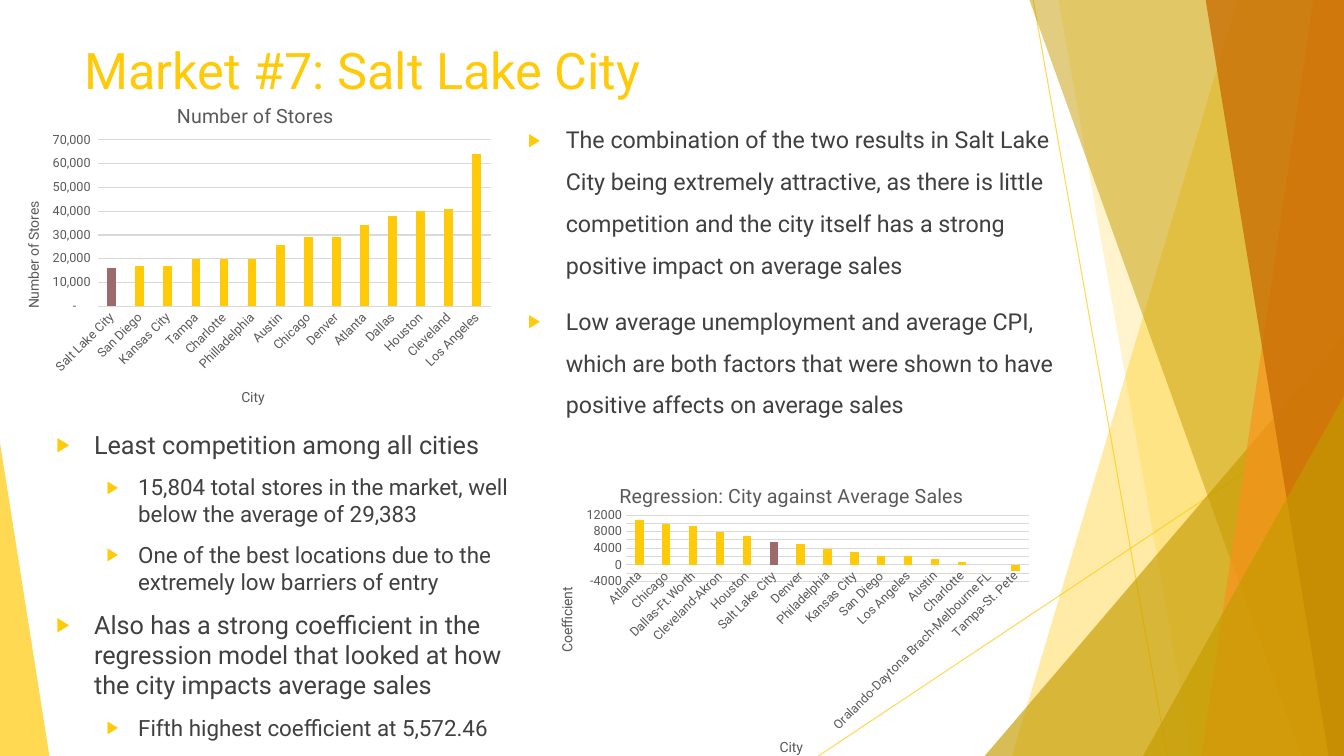
"""Build the Salt Lake City market slide with two column charts."""
from lxml.etree import SubElement as Sub
from pptx import Presentation
from pptx.chart.data import CategoryChartData as ChartData
from pptx.dml.color import RGBColor as Rgb
from pptx.enum.chart import XL_CHART_TYPE as Kind, XL_TICK_MARK as Tick
from pptx.enum.shapes import MSO_CONNECTOR as Link, MSO_SHAPE as Shape
from pptx.enum.text import MSO_ANCHOR as Anchor
from pptx.oxml.ns import qn
from pptx.util import Pt


class Theme:
    font = "Roboto"
    gold, ochre, orange, rust = "FFCA08", "C59B00", "F8931D", "CA6F06"
    mauve, ink, gray, rule = "9C6A6A", "404040", "595959", "D9D9D9"
    head, main, sub, side = 36, 18, 16, 16.6
    title, label, tick = 14, 10, 9


def fade(fill, color, alpha):
    fill.solid()
    fill.fore_color.rgb = Rgb.from_string(color)
    node = fill._xPr.find(f"{qn('a:solidFill')}/{qn('a:srgbClr')}")
    Sub(node, qn("a:alpha"), val=str(alpha * 1000))


def place(node, spot, slot):
    for old in node.findall(qn("c:layout")):
        node.remove(old)
    frame = Sub(node, qn("c:layout"))
    node.insert(slot, frame)
    rule = Sub(frame, qn("c:manualLayout"))
    if len(spot) == 4:
        Sub(rule, qn("c:layoutTarget"), val="inner")
    for key in "xMode", "yMode":
        Sub(rule, qn(f"c:{key}"), val="edge")
    for key, val in zip("xywh", spot):
        Sub(rule, qn(f"c:{key}"), val=str(val))


deck = Presentation()
deck.slide_width, deck.slide_height = Pt(960), Pt(540)
slide = deck.slides.add_slide(deck.slide_layouts[6])
shapes = slide.shapes

for ends in ((738, 0, 833.8, 540), (960, 290.2, 584.6, 540)):
    line = shapes.add_connector(Link.STRAIGHT, *map(Pt, ends))
    line.line.width = Pt(0.75)
    fade(line.line.fill, Theme.gold, 70)
    Sub(line._element.spPr, qn("a:effectLst"))

facets = [
    (Theme.gold, 36, (884.2, 722.9)),
    (Theme.gold, 20, (756, 851.8)),
    (Theme.ochre, 66, (703.4, 239.8, 256.6, 300.2)),
    (Theme.ochre, 50, (735.1, 929.5)),
    (Theme.orange, 70, (938.2, 858.2)),
    (Theme.rust, 80, (861.1, 949)),
    (Theme.ochre, 66, (816.5, 283, 143.5, 257)),
    (Theme.gold, 70, (0, 316.1, 35.3, 223.9)),
]
for color, alpha, geo in facets:
    if len(geo) == 2:
        top, foot = map(Pt, geo)
        path = shapes.build_freeform(top, Pt(-0.6))
        path.add_line_segments([(Pt(960), Pt(-0.6)), (Pt(960), Pt(540)), (foot, Pt(540))])
        facet = path.convert_to_shape()
    else:
        facet = shapes.add_shape(Shape.ISOSCELES_TRIANGLE, *map(Pt, geo))
        facet.adjustments[0] = 1 if geo[0] else 0
    facet.shadow.inherit = False
    facet.line.fill.background()
    fade(facet.fill, color, alpha)

texts = [
    ((53.3, 24.5, 676.8, 103.7), Theme.gold, 1, [
        (None, Theme.head, "Market #7: Salt Lake City")]),
    ((33.1, 303.1, 349.2, 216), Theme.ink, 1, [
        (0, Theme.main, "Least competition among all cities"),
        (1, Theme.sub, "15,804 total stores in the market, well below the average of 29,383"),
        (1, Theme.sub, "One of the best locations due to the extremely low barriers of entry"),
        (0, Theme.main, "Also has a strong coefficient in the regression model that looked at "
                        "how the city impacts average sales"),
        (1, Theme.sub, "Fifth highest coefficient at 5,572.46")]),
    ((370.1, 76.3, 403.9, 247.7), Theme.ink, 1.5, [
        (0, Theme.side, "The combination of the two results in Salt Lake City being extremely "
                        "attractive, as there is little competition and the city itself has a "
                        "strong positive impact on average sales"),
        (0, Theme.side, "Low average unemployment and average CPI, which are both factors that "
                        "were shown to have positive affects on average sales")]),
]
for box, color, pitch, items in texts:
    frame = shapes.add_textbox(*map(Pt, box)).text_frame
    frame.word_wrap = True
    frame.vertical_anchor = Anchor.TOP
    for n, (level, size, words) in enumerate(items):
        para = frame.add_paragraph() if n else frame.paragraphs[0]
        para.line_spacing = pitch
        run = para.add_run()
        run.text = words
        run.font.name, run.font.size = Theme.font, Pt(size)
        run.font.color.rgb = Rgb.from_string(color)
        if level is None:
            continue
        para.space_before = Pt(10)
        para.level = level
        props = para._p.get_or_add_pPr()
        props.set("marL", str(Pt((27, 58.5)[level])))
        props.set("indent", str(Pt((-27, -22.5)[level])))
        Sub(Sub(props, qn("a:buClr")), qn("a:srgbClr"), val=Theme.gold)
        Sub(props, qn("a:buSzPct"), val="80000")
        Sub(props, qn("a:buFont"), typeface="Arial")
        Sub(props, qn("a:buChar"), char="▶")

stores = {
    "Salt Lake City": 16000, "San Diego": 17000, "Kansas City": 17000, "Tampa": 20000,
    "Charlotte": 20000, "Philladelphia": 20000, "Austin": 26000, "Chicago": 29000,
    "Denver": 29000, "Atlanta": 34000, "Dallas": 38000, "Houston": 40000,
    "Cleveland": 41000, "Los Angeles": 64000,
}
effects = {
    "Atlanta": 10700, "Chicago": 9900, "Dallas-Ft.Worth": 9300, "Cleveland-Akron": 8000,
    "Houston": 6900, "Salt Lake City": 5600, "Denver": 5100, "Philadelphia": 3900,
    "Kansas City": 3100, "San Diego": 2100, "Los Angeles": 2100, "Austin": 1500,
    "Charlotte": 700, "Oralando-Daytona Brach-Melbourne FL": 0, "Tampa-St. Pete": -1400,
}
charts = [
    ((-2.2, 55.4, 360, 247.7), stores, (0, 70000, 10000),
     r'_(* #,##0_);_(* \(#,##0\);_(* "-"??_);_(@_)', (0.2, 0.18, 0.78, 0.48),
     [("Number of Stores", (0.35, 0.06)), ("City", (0.48, 0.89)),
      ("Number of Stores", (0.05, 0.35))]),
    ((382.3, 331.2, 360, 216), effects, (-4000, 12000, 2000),
     "General", (0.18, 0.17, 0.8, 0.22),
     [("Regression: City against Average Sales", (0.16, 0.05)), ("City", (0.48, 0.9)),
      ("Coefficient", (0.04, 0.4))]),
]
for box, table, scale, form, plot, heads in charts:
    data = ChartData()
    data.categories = list(table)
    data.add_series("Series 1", list(table.values()))
    chart = shapes.add_chart(Kind.COLUMN_CLUSTERED, *map(Pt, box), data).chart
    chart.has_legend = False
    chart.font.name, chart.font.size = Theme.font, Pt(Theme.label)
    cat, val = chart.category_axis, chart.value_axis
    val.minimum_scale, val.maximum_scale, val.major_unit = scale
    for axis in cat, val:
        axis.major_tick_mark = axis.minor_tick_mark = Tick.NONE
        font = axis.tick_labels.font
        font.name, font.size = Theme.font, Pt(Theme.tick)
        font.color.rgb = Rgb.from_string(Theme.gray)
    cat._element.txPr.bodyPr.set("rot", "-2700000")
    val.tick_labels.number_format = form
    val.tick_labels.number_format_is_linked = False
    val.format.line.fill.background()
    for line in cat.format.line, val.major_gridlines.format.line:
        line.color.rgb = Rgb.from_string(Theme.rule)
        line.width = Pt(0.75)
    chart.has_title = True
    titles = chart.chart_title, cat.axis_title, val.axis_title
    sizes = Theme.title, Theme.label, Theme.label
    for title, size, (words, spot) in zip(titles, sizes, heads):
        run = title.text_frame.paragraphs[0].add_run()
        run.text = words
        run.font.name, run.font.size, run.font.bold = Theme.font, Pt(size), False
        run.font.color.rgb = Rgb.from_string(Theme.gray)
        place(title._element, spot, 1)
    val.axis_title.text_frame._txBody.bodyPr.set("rot", "-5400000")
    place(chart._chartSpace.chart.plotArea, plot, 0)
    bars = chart.plots[0]
    bars.gap_width, bars.overlap, bars.vary_by_categories = 219, -27, False
    row = bars.series[0]
    row.invert_if_negative = False
    mark = row.points[list(table).index("Salt Lake City")]
    for part, color in (row, Theme.gold), (mark, Theme.mauve):
        part.format.fill.solid()
        part.format.fill.fore_color.rgb = Rgb.from_string(color)

deck.save("out.pptx")
